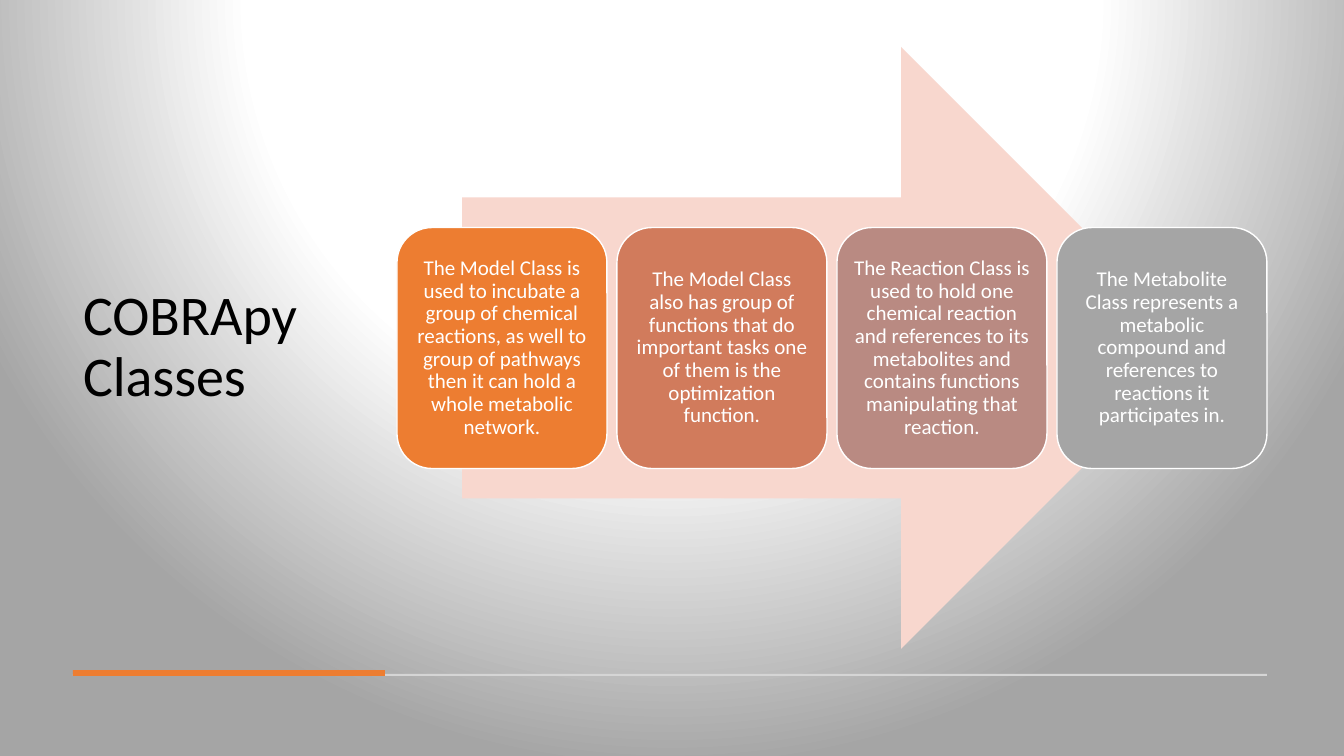
from lxml.etree import SubElement
from pptx import Presentation
from pptx.dml.color import RGBColor
from pptx.enum.shapes import MSO_SHAPE
from pptx.enum.text import MSO_ANCHOR, MSO_AUTO_SIZE, PP_ALIGN
from pptx.oxml.ns import qn
from pptx.util import Pt

TITLE = "COBRApy Classes"
CLASSES = [
    ("The Model Class is used to incubate a group of chemical reactions, as well to group of pathways then it can hold a whole metabolic network.", "orange"),
    ("The Model Class also has group of functions that do important tasks one of them is the optimization function.", "terracotta"),
    ("The Reaction Class is used to hold one chemical reaction and references to its metabolites and contains functions manipulating that reaction.", "rose"),
    ("The Metabolite Class represents a metabolic compound and references to reactions it participates in.", "gray"),
]
COLORS = {
    "orange": "ED7D31", "terracotta": "D17B5C", "rose": "B98A82", "gray": "A5A5A5",
    "arrow": "F8D7CE", "rule": "D5D5D5", "white": "FFFFFF", "black": "000000",
}
BACKDROP = [(27, "white"), (55, "white"), (100, "gray")]
BACKDROP_CENTER = {"l": 50, "t": -80, "r": 50, "b": 180}

SLIDE_W, SLIDE_H = 1344, 756
SCALE = 12192000 / SLIDE_W
MARGIN, TOP, CONTENT_H = 73, 47, 602
TITLE_W, RULE_W = 312, 1194
ARROW_LEFT, ARROW_W = 462, 740
CARD_LEFT, CARD_W, CARD_H, CARD_GAP = 397, 210, 241, 10


def px(length):
    return round(length * SCALE)


def color(name):
    return RGBColor.from_string(COLORS[name])


def write(frame, text, size, ink, align, inset=None):
    frame.word_wrap = True
    frame.auto_size = MSO_AUTO_SIZE.NONE
    frame.vertical_anchor = MSO_ANCHOR.MIDDLE
    if inset is not None:
        frame.margin_left = frame.margin_right = px(inset)
        frame.margin_top = frame.margin_bottom = px(inset)
    paragraph = frame.paragraphs[0]
    paragraph.alignment = align
    paragraph.line_spacing = 0.9
    run = paragraph.add_run()
    run.text = text
    run.font.name = "Calibri"
    run.font.size = Pt(size)
    run.font.color.rgb = color(ink)


def add_block(slide, preset, left, top, width, height, fill, outline=None):
    block = slide.shapes.add_shape(preset, px(left), px(top), px(width), px(height))
    block.shadow.inherit = False
    block.fill.solid()
    block.fill.fore_color.rgb = color(fill)
    if outline:
        block.line.color.rgb = color(outline)
        block.line.width = Pt(1)
    else:
        block.line.fill.background()
    return block


def paint_backdrop(slide):
    slide.background.fill.gradient()
    gradient = slide.element.find(".//" + qn("a:gradFill"))
    for child in list(gradient):
        gradient.remove(child)
    stops = SubElement(gradient, qn("a:gsLst"))
    for position, name in BACKDROP:
        stop = SubElement(stops, qn("a:gs"), pos=str(position * 1000))
        SubElement(stop, qn("a:srgbClr"), val=COLORS[name])
    circle = SubElement(gradient, qn("a:path"), path="circle")
    center = {side: str(percent * 1000) for side, percent in BACKDROP_CENTER.items()}
    SubElement(circle, qn("a:fillToRect"), **center)


def main():
    deck = Presentation()
    deck.slide_width, deck.slide_height = px(SLIDE_W), px(SLIDE_H)
    slide = deck.slides.add_slide(deck.slide_layouts[5])
    paint_backdrop(slide)

    title = slide.shapes.title
    title.left, title.top = px(MARGIN), px(TOP)
    title.width, title.height = px(TITLE_W), px(CONTENT_H)
    write(title.text_frame, TITLE, 40, "black", PP_ALIGN.LEFT)

    add_block(slide, MSO_SHAPE.RECTANGLE, MARGIN, 674, RULE_W, 2, "rule")
    add_block(slide, MSO_SHAPE.RECTANGLE, MARGIN, 670, TITLE_W, 6, "orange")
    add_block(slide, MSO_SHAPE.RIGHT_ARROW, ARROW_LEFT, TOP, ARROW_W, CONTENT_H, "arrow")

    card_top = TOP + (CONTENT_H - CARD_H) / 2
    for index, (description, fill) in enumerate(CLASSES):
        left = CARD_LEFT + index * (CARD_W + CARD_GAP)
        card = add_block(slide, MSO_SHAPE.ROUNDED_RECTANGLE, left, card_top, CARD_W, CARD_H, fill, "white")
        write(card.text_frame, description, 15, "white", PP_ALIGN.CENTER, inset=6)

    deck.save("out.pptx")


if __name__ == "__main__":
    main()
